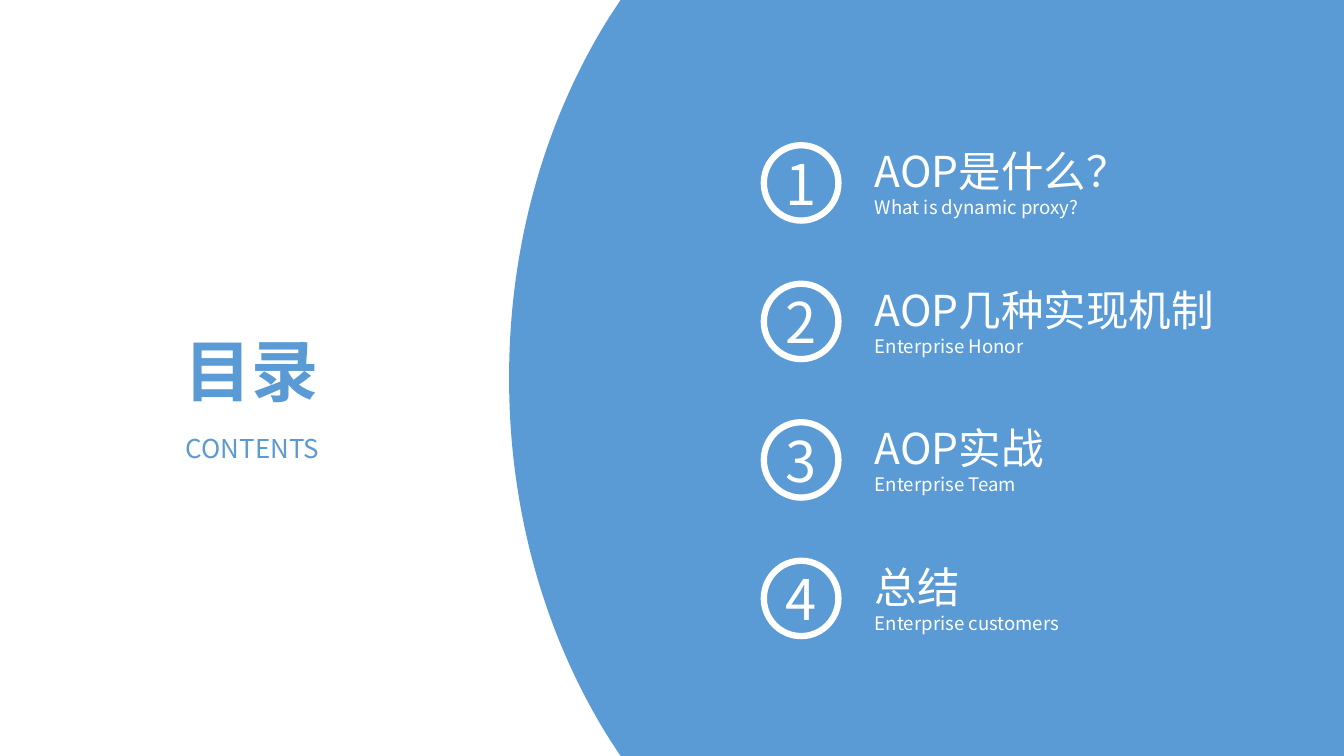
from dataclasses import dataclass

from lxml.etree import SubElement
from pptx import Presentation
from pptx.dml.color import RGBColor
from pptx.enum.shapes import MSO_SHAPE as SHAPE
from pptx.enum.text import MSO_ANCHOR as ANCHOR, MSO_AUTO_SIZE as FIT, PP_ALIGN as ALIGN
from pptx.oxml.ns import qn
from pptx.util import Cm, Pt


@dataclass(frozen=True)
class Theme:
    """Colours, font and type sizes of the slide."""
    blue: RGBColor = RGBColor(0x5B, 0x9B, 0xD5)
    white: RGBColor = RGBColor(0xFF, 0xFF, 0xFF)
    font: str = "Noto Sans CJK SC"
    title: float = 48
    subtitle: float = 18.5
    number: float = 40
    heading: float = 30.4
    caption: float = 13.3
    ring: float = 4.5


@dataclass(frozen=True)
class Entry:
    """One line of the contents list; width in centimetres."""
    heading: str
    caption: str
    width: float


THEME = Theme()
WIDTH, HEIGHT = 33.87, 19.05
ENTRIES = [
    Entry("AOP是什么？", "What is dynamic proxy?", 7.8),
    Entry("AOP几种实现机制", "Enterprise Honor", 9.45),
    Entry("AOP实战", "Enterprise Team", 7.14),
    Entry("总结", "Enterprise customers", 7.14),
]
FIRST_TOP, PITCH = 3.66, 3.49
PANEL_CORNER = (15.64, 0)
# Bezier control points of the panel's upper edge, from the top to the middle
PANEL_EDGE = [(15.37, 0.41), (13.77, 2.95), (12.83, 6.1), (12.83, HEIGHT / 2)]
EDGE_STEPS = 40


def set_frame(tf, anchor=ANCHOR.MIDDLE, fit=FIT.NONE) -> None:
    """Give a text frame wrapping, zero margins, an anchor and a fit mode."""
    tf.word_wrap = True
    tf.auto_size = fit
    tf.vertical_anchor = anchor
    tf.margin_left = tf.margin_right = tf.margin_top = tf.margin_bottom = 0


def write(p, text: str, *, size: float, color: RGBColor,
          align=ALIGN.LEFT, bold: bool = False) -> None:
    """Write one formatted run into a paragraph."""
    p.alignment = align
    p.space_before = Pt(0)
    r = p.add_run()
    r.text = text
    r.font.name = THEME.font
    r.font.size = Pt(size)
    r.font.bold = bold
    r.font.color.rgb = color
    r_pr = r.font._element
    r_pr.set("lang", "zh-CN")
    SubElement(r_pr, qn("a:ea")).set("typeface", THEME.font)


def place(sp, left: float, top: float, width: float, height: float) -> None:
    """Move and size a shape, in centimetres."""
    sp.left, sp.top, sp.width, sp.height = map(Cm, (left, top, width, height))


def edge_point(t: float) -> tuple[float, float]:
    """Return the point at t on the panel's upper edge."""
    weights = ((1 - t) ** 3, 3 * t * (1 - t) ** 2, 3 * t * t * (1 - t), t ** 3)
    return tuple(sum(w * point[axis] for w, point in zip(weights, PANEL_EDGE))
                 for axis in (0, 1))


def add_panel(s) -> None:
    """Draw the blue panel with its curved, symmetric left edge."""
    upper = [PANEL_CORNER] + [edge_point(i / EDGE_STEPS) for i in range(EDGE_STEPS + 1)]
    lower = [(x, HEIGHT - y) for x, y in reversed(upper[:-1])]
    outline = [(WIDTH, 0), *upper, *lower, (WIDTH, HEIGHT)]
    points = [(Cm(x), Cm(y)) for x, y in outline]
    builder = s.shapes.build_freeform(*points[0])
    builder.add_line_segments(points[1:], close=True)
    sp = builder.convert_to_shape()
    sp.shadow.inherit = False
    sp.fill.solid()
    sp.fill.fore_color.rgb = THEME.blue
    sp.line.fill.background()


def add_titles(s) -> None:
    """Fill the title and subtitle placeholders."""
    title, subtitle = s.placeholders
    place(title, 4.55, 8.31, 3.6, 1.7)
    set_frame(title.text_frame, ANCHOR.TOP)
    write(title.text_frame.paragraphs[0], "目录", size=THEME.title,
          color=THEME.blue, align=ALIGN.CENTER, bold=True)
    place(subtitle, 3.86, 10.95, 5, 0.66)
    set_frame(subtitle.text_frame)
    write(subtitle.text_frame.paragraphs[0], "CONTENTS", size=THEME.subtitle,
          color=THEME.blue, align=ALIGN.CENTER)


def add_ring(s, number: int, top: float) -> None:
    """Draw a numbered ring."""
    sp = s.shapes.add_shape(SHAPE.OVAL, Cm(19.25), Cm(top), Cm(1.88), Cm(1.9))
    sp.shadow.inherit = False
    sp.fill.solid()
    sp.fill.fore_color.rgb = THEME.blue
    sp.line.color.rgb = THEME.white
    sp.line.width = Pt(THEME.ring)
    set_frame(sp.text_frame)
    write(sp.text_frame.paragraphs[0], str(number), size=THEME.number,
          color=THEME.white, align=ALIGN.CENTER)


def add_entry(s, entry: Entry, top: float) -> None:
    """Write an entry's heading with its caption below."""
    tf = s.shapes.add_textbox(Cm(22.05), Cm(top), Cm(entry.width), Cm(1.85)).text_frame
    set_frame(tf, fit=FIT.SHAPE_TO_FIT_TEXT)
    write(tf.paragraphs[0], entry.heading, size=THEME.heading, color=THEME.white)
    write(tf.add_paragraph(), entry.caption, size=THEME.caption, color=THEME.white)


def main() -> None:
    """Build and save the contents slide."""
    prs = Presentation()
    prs.slide_width, prs.slide_height = Cm(WIDTH), Cm(HEIGHT)
    s = prs.slides.add_slide(prs.slide_layouts[0])
    add_titles(s)
    add_panel(s)
    for i, entry in enumerate(ENTRIES):
        top = FIRST_TOP + i * PITCH
        add_ring(s, i + 1, top)
        add_entry(s, entry, top)
    prs.save("out.pptx")


main()
